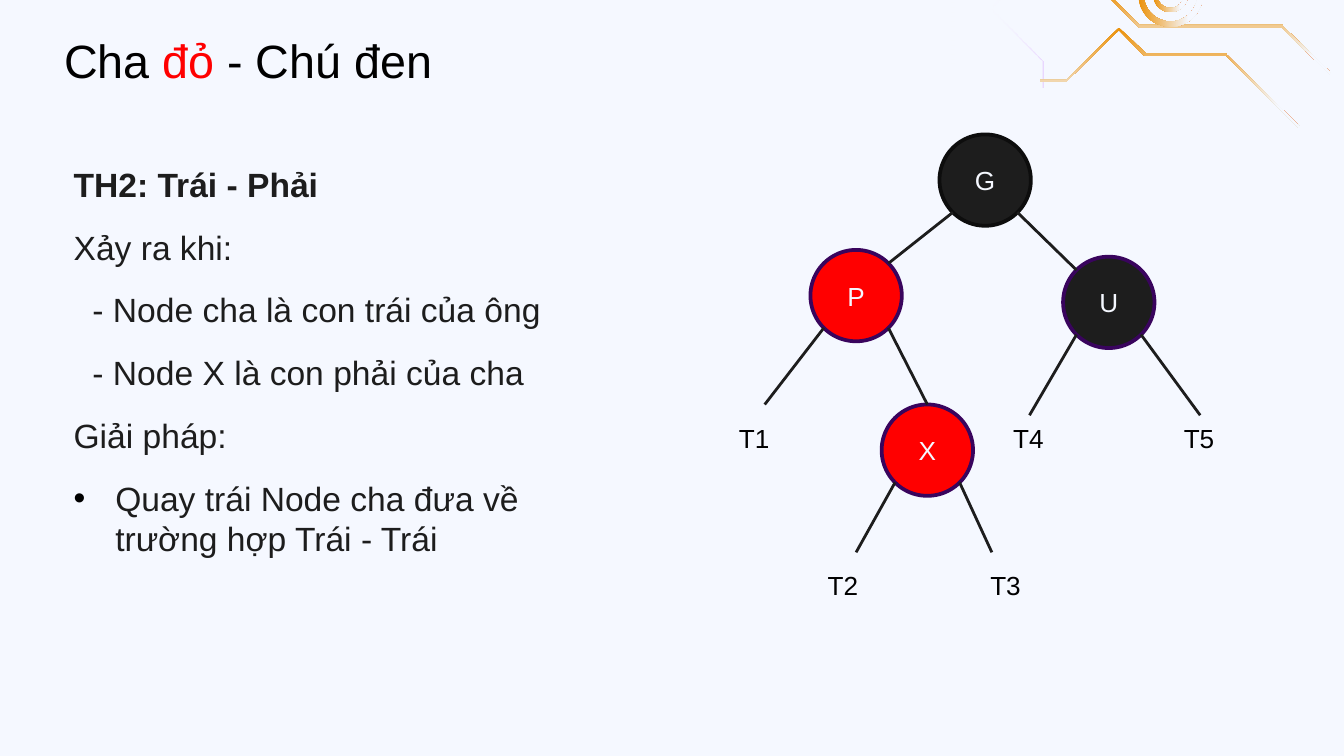
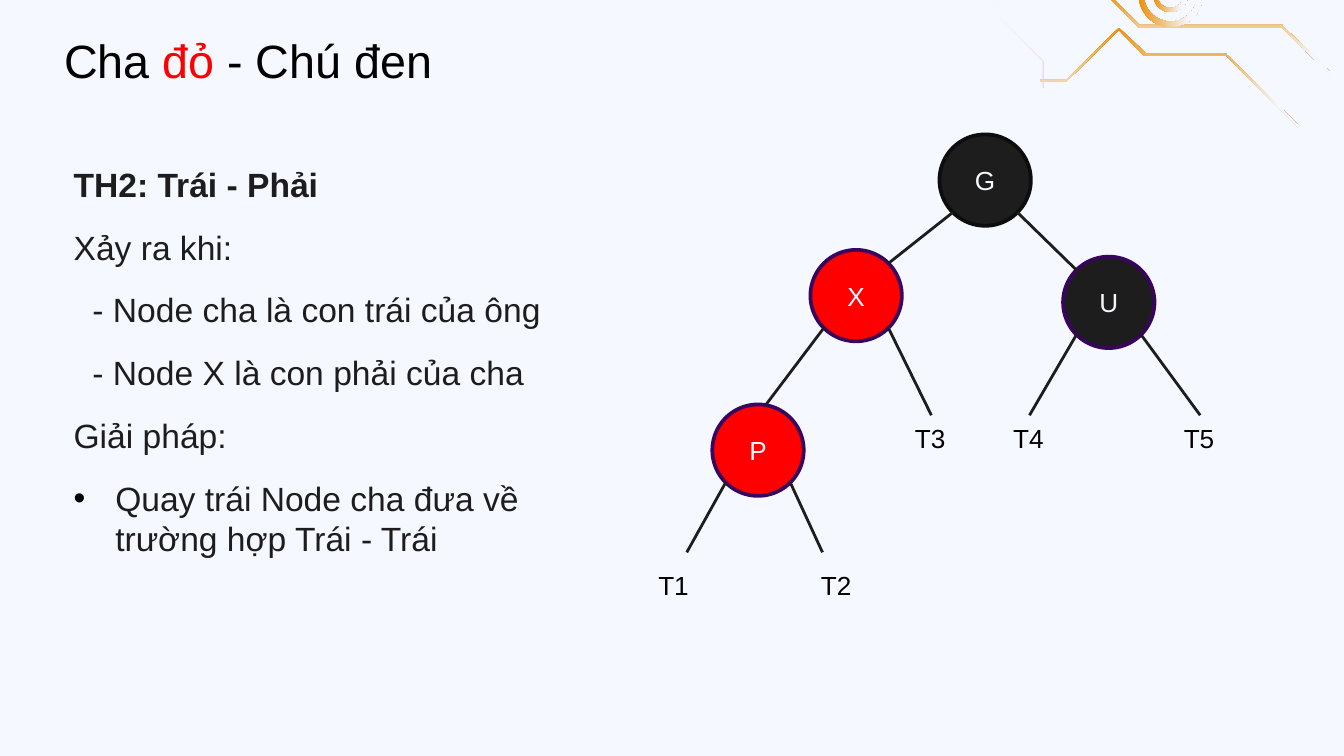
from math import cos, pi, sin

from lxml.etree import SubElement
from pptx import Presentation
from pptx.dml.color import RGBColor
from pptx.enum.shapes import MSO_CONNECTOR, MSO_SHAPE
from pptx.enum.text import MSO_ANCHOR, MSO_AUTO_SIZE, PP_ALIGN
from pptx.oxml.ns import qn
from pptx.util import Inches, Pt

SLIDE_WIDTH = Inches(10)
SLIDE_HEIGHT = SLIDE_WIDTH * 9 // 16
BACKGROUND, INK, BLACK, RED = "F5F8FF", "1D1D1D", "000000", "FF0000"
ROOT_LINE, NODE_LINE = "0D0D0D", "39045D"
FONT = "Arial"
NODE_SIZE = 0.68
ANCHOR_NEAR, ANCHOR_FAR = 0.1, 0.58
ROOT, LEFT_NODE, UNCLE = (6.99, 1), (6.03, 1.86), (7.91, 1.91)
LOWER_TOP, LABEL_TOP = 3.01, 3.09

PURPLE_FADE = [(0, "9900FF", 47), (100, "FFFFFF", 0)]
ORANGE_FADE = [(0, "EB9109", 100), (78, BACKGROUND, 100), (100, BACKGROUND, 100)]
LONG_TRACE = [(0.62, 0), (0.27, 0.36), (0.26, 0.36), (0.26, 1.43), (0, 1.69), (0, 2.16),
              (0.02, 2.16), (0.02, 1.69), (0.28, 1.43), (0.28, 0.37), (0.63, 0.01)]
SHORT_TRACE = [(0.74, 0), (0.2, 0.55), (0.19, 0.55), (0.19, 1.15), (0, 1.35), (0.39, 1.74),
               (0.39, 1.94), (0.4, 1.94), (0.4, 1.74), (0.02, 1.35), (0.21, 1.16),
               (0.21, 0.55), (0.75, 0.01)]
TRACES = [
    (LONG_TRACE, 7.08, -1.69, 0, PURPLE_FADE, 180),
    (SHORT_TRACE, 7.36, -1.29, 0, PURPLE_FADE, 180),
    (LONG_TRACE, 8.51, -0.84, 90, ORANGE_FADE, 0),
    (SHORT_TRACE, 8.33, -0.39, 90, ORANGE_FADE, 0),
]
RING_CENTER = (8.71, -0.04)
RINGS = [(0.24, 0.2), (0.13, 0.1)]

TITLE = [("Cha ", BLACK), ("đỏ", RED), (" - Chú đen", BLACK)]
BODY = [
    ("TH2: Trái - Phải", "heading"),
    ("Xảy ra khi:", "plain"),
    ("- Node cha là con trái của ông", "dash"),
    ("- Node X là con phải của cha", "dash"),
    ("Giải pháp:", "plain"),
    ("Quay trái Node cha đưa về trường hợp Trái - Trái", "bullet"),
]
TREES = [
    {
        "names": ("P", "X"), "lower_left": 6.56,
        "ends": ((5.69, LOWER_TOP), (6.9, LOWER_TOP)),
        "upper_label": ("T1", 5.4), "lower_labels": ("T2", "T3"),
    },
    {
        "names": ("X", "P"), "lower_left": 5.3,
        "ends": ((5.7, LOWER_TOP), (6.93, LABEL_TOP)),
        "upper_label": ("T3", 6.71), "lower_labels": ("T1", "T2"),
    },
]


def color(value):
    """Turn a hex string into a colour."""
    return RGBColor.from_string(value)


def apply_format(target, values):
    """Set each named attribute on the target."""
    for name, value in values.items():
        setattr(target, name, value)


def add_run(paragraph, text, size, text_color, bold=False):
    """Add one formatted run of text."""
    run = paragraph.add_run()
    run.text = text
    apply_format(run.font, {"name": FONT, "size": Pt(size), "bold": bold})
    run.font.color.rgb = color(text_color)


def add_text_frame(slide, left, top, width, height):
    """Add a wrapping text box and return its text frame."""
    box = slide.shapes.add_textbox(*map(Inches, (left, top, width, height)))
    frame = box.text_frame
    apply_format(frame, {"word_wrap": True, "auto_size": MSO_AUTO_SIZE.SHAPE_TO_FIT_TEXT})
    return frame


def set_indent(paragraph, margin, hanging=0.0, bullet=None):
    """Indent a paragraph and give it an optional bullet."""
    properties = paragraph._p.get_or_add_pPr()
    properties.set("marL", str(Inches(margin)))
    properties.set("indent", str(Inches(-hanging)))
    if bullet:
        bullet_color = SubElement(properties, qn("a:buClr"))
        SubElement(bullet_color, qn("a:srgbClr"), val=BLACK)
        SubElement(properties, qn("a:buFont"), typeface=FONT)
        SubElement(properties, qn("a:buChar"), char=bullet)


def set_gradient(shape, stops, angle):
    """Fill a shape with a linear gradient of (position, colour, opacity) stops."""
    shape.fill.gradient()
    gradient = shape._element.spPr.find(qn("a:gradFill"))
    for child in list(gradient):
        gradient.remove(child)
    gradient.set("rotWithShape", "1")
    stop_list = SubElement(gradient, qn("a:gsLst"))
    for position, value, opacity in stops:
        stop = SubElement(stop_list, qn("a:gs"), pos=str(position * 1000))
        stop_color = SubElement(stop, qn("a:srgbClr"), val=value)
        if opacity < 100:
            SubElement(stop_color, qn("a:alpha"), val=str(opacity * 1000))
    SubElement(gradient, qn("a:lin"), ang=str(angle * 60000), scaled="0")


def add_outline(slide, contours, stops, angle, rotation=0):
    """Draw closed contours as one freeform with a gradient."""
    contours = [[tuple(map(Inches, point)) for point in contour] for contour in contours]
    builder = slide.shapes.build_freeform(*contours[0][0])
    for index, contour in enumerate(contours):
        if index:
            builder.move_to(*contour[0])
        builder.add_line_segments(contour[1:], close=True)
    shape = builder.convert_to_shape()
    shape.rotation = rotation
    shape.shadow.inherit = False
    shape.line.fill.background()
    set_gradient(shape, stops, angle)


def circle_points(radius, steps=48):
    """List points on a circle around the ring centre."""
    x, y = RING_CENTER
    angles = [2 * pi * step / steps for step in range(steps)]
    return [(x + radius * cos(angle), y + radius * sin(angle)) for angle in angles]


def add_decoration(slide):
    """Draw the circuit traces and rings in the top right corner."""
    for points, left, top, rotation, stops, angle in TRACES:
        contour = [(left + x, top + y) for x, y in points]
        add_outline(slide, [contour], stops, angle, rotation)
    for outer, inner in RINGS:
        contours = [circle_points(outer), circle_points(inner)[::-1]]
        add_outline(slide, contours, ORANGE_FADE, 0)


def add_title(slide):
    """Add the title with its coloured word."""
    paragraph = add_text_frame(slide, 0.38, 0.19, 3.19, 0.52).paragraphs[0]
    for text, text_color in TITLE:
        add_run(paragraph, text, 25, text_color)


def add_body(slide):
    """Add the explanation on the left."""
    frame = add_text_frame(slide, 0.45, 1.17, 3.76, 3.06)
    for index, (text, style) in enumerate(BODY):
        paragraph = frame.add_paragraph() if index else frame.paragraphs[0]
        apply_format(paragraph, {"space_before": Pt(6 if index else 0), "space_after": Pt(6)})
        if style == "dash":
            set_indent(paragraph, 0.14)
        elif style == "bullet":
            set_indent(paragraph, 0.31, 0.31, "•")
        add_run(paragraph, text, 18, INK, style == "heading")


def add_node(slide, name, position, fill, line=NODE_LINE):
    """Draw one tree node."""
    left, top = map(Inches, position)
    shape = slide.shapes.add_shape(
        MSO_SHAPE.OVAL, left, top, Inches(NODE_SIZE), Inches(NODE_SIZE))
    shape.shadow.inherit = False
    shape.fill.solid()
    shape.fill.fore_color.rgb = color(fill)
    shape.line.color.rgb = color(line)
    shape.line.width = Pt(2)
    shape.text_frame.vertical_anchor = MSO_ANCHOR.MIDDLE
    paragraph = shape.text_frame.paragraphs[0]
    paragraph.alignment = PP_ALIGN.CENTER
    add_run(paragraph, name, 14, BACKGROUND)


def add_edge(slide, start, end):
    """Draw one tree edge."""
    connector = slide.shapes.add_connector(MSO_CONNECTOR.STRAIGHT, *map(Inches, start + end))
    connector.line.color.rgb = color(INK)
    connector.line.width = Pt(1.5)
    SubElement(connector._element.spPr, qn("a:effectLst"))


def add_branches(slide, node, left_end, right_end):
    """Draw the two edges that leave the bottom of a node."""
    left, top = node
    add_edge(slide, (left + ANCHOR_NEAR, top + ANCHOR_FAR), left_end)
    add_edge(slide, (left + ANCHOR_FAR, top + ANCHOR_FAR), right_end)


def add_subtree_label(slide, text, left, top):
    """Name one subtree."""
    frame = add_text_frame(slide, left, top, 0.44, 0.34)
    add_run(frame.paragraphs[0], text, 14, BLACK)


def add_tree(slide, tree):
    """Draw the nodes, edges and subtree labels."""
    left_name, lower_name = tree["names"]
    lower_left = tree["lower_left"]
    lower = (lower_left, LOWER_TOP)
    add_node(slide, "G", ROOT, INK, ROOT_LINE)
    add_node(slide, lower_name, lower, RED)
    add_node(slide, "U", UNCLE, INK)
    add_node(slide, left_name, LEFT_NODE, RED)

    left_child = (LEFT_NODE[0] + ANCHOR_FAR, LEFT_NODE[1] + ANCHOR_NEAR)
    right_child = (UNCLE[0] + ANCHOR_NEAR, UNCLE[1] + ANCHOR_NEAR)
    add_branches(slide, ROOT, left_child, right_child)
    add_branches(slide, LEFT_NODE, *tree["ends"])
    add_branches(slide, UNCLE, (7.66, LABEL_TOP), (8.93, LABEL_TOP))
    add_branches(slide, lower, (lower_left - 0.19, 4.11), (lower_left + 0.82, 4.11))

    for text, offset in zip(tree["lower_labels"], (-0.5, 0.71)):
        add_subtree_label(slide, text, lower_left + offset, 4.19)
    for text, left in (tree["upper_label"], ("T4", 7.44), ("T5", 8.71)):
        add_subtree_label(slide, text, left, LABEL_TOP)


def main():
    """Build the presentation."""
    presentation = Presentation()
    apply_format(presentation, {"slide_width": SLIDE_WIDTH, "slide_height": SLIDE_HEIGHT})
    background = presentation.slide_master.background.fill
    background.solid()
    background.fore_color.rgb = color(BACKGROUND)
    for tree in TREES:
        slide = presentation.slides.add_slide(presentation.slide_layouts[6])
        add_decoration(slide)
        add_title(slide)
        add_body(slide)
        add_tree(slide, tree)
    presentation.save("out.pptx")


if __name__ == "__main__":
    main()
